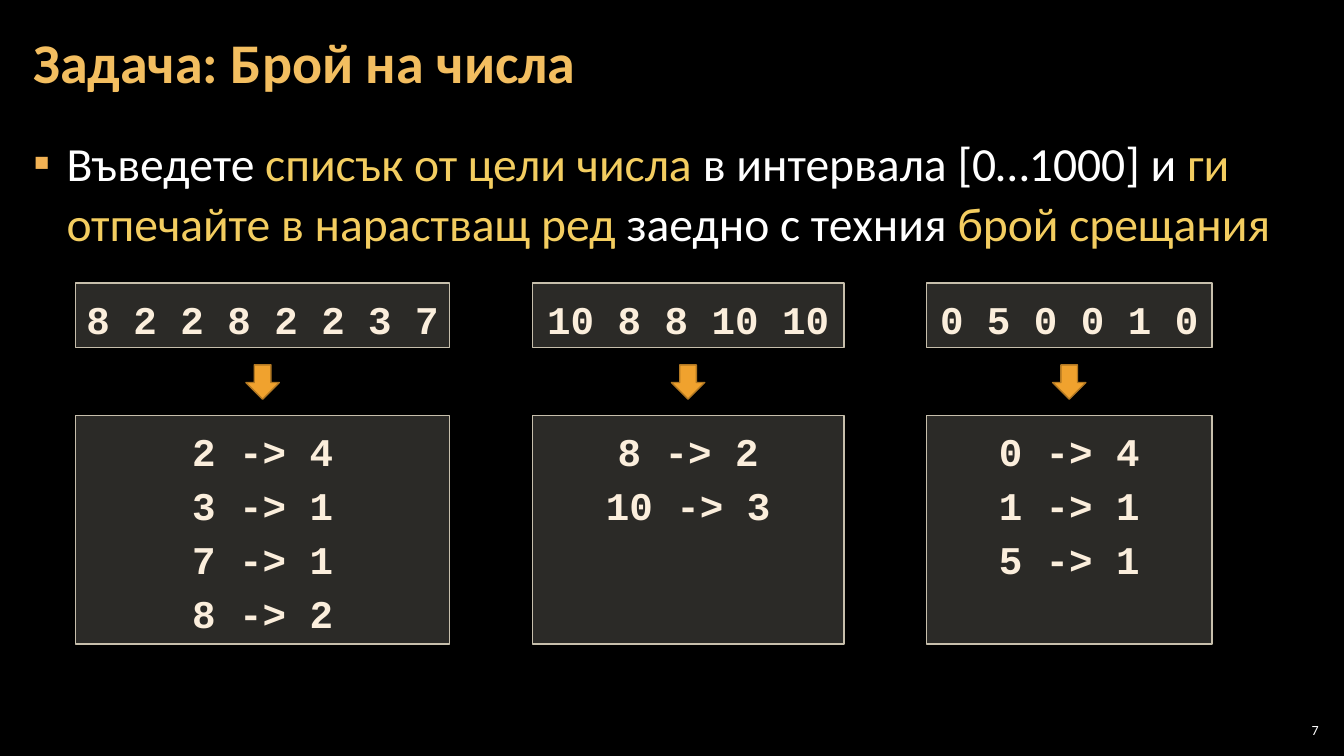
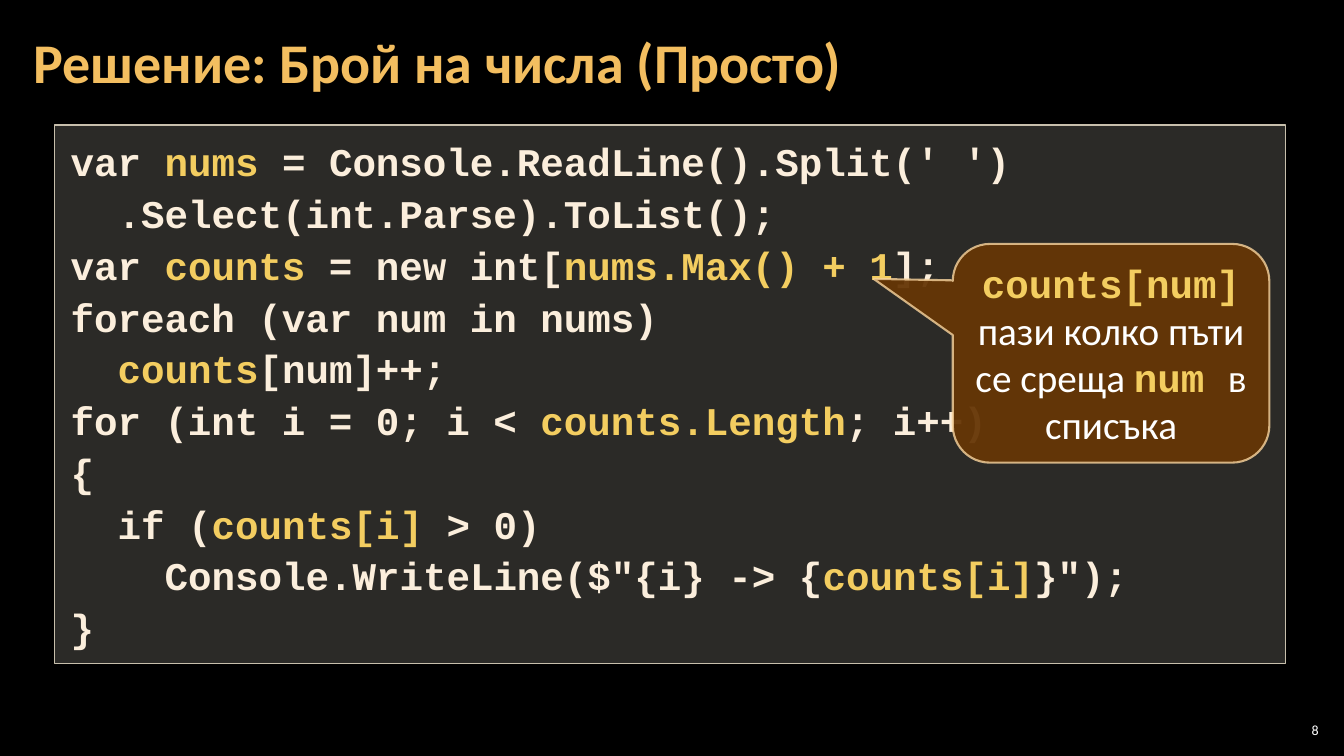
from lxml.etree import SubElement
from pptx import Presentation
from pptx.dml.color import RGBColor
from pptx.enum.shapes import MSO_SHAPE
from pptx.enum.text import MSO_ANCHOR, PP_ALIGN
from pptx.oxml.ns import qn
from pptx.util import Inches, Pt

BLACK = RGBColor(0x00, 0x00, 0x00)
WHITE = RGBColor(0xFF, 0xFF, 0xFF)
TITLE_GOLD = RGBColor(0xF3, 0xBE, 0x60)
HIGHLIGHT = RGBColor(0xF3, 0xCD, 0x60)
BULLET_ORANGE = RGBColor(0xF2, 0xB2, 0x54)
CODE_CREAM = RGBColor(0xFB, 0xEE, 0xDC)
PANEL_FILL = RGBColor(0xD9, 0xD5, 0xC7)
PANEL_LINE = RGBColor(0xC7, 0xBF, 0xAC)
ARROW_FILL = RGBColor(0xF0, 0xA2, 0x2E)
ARROW_LINE = RGBColor(0xB2, 0x78, 0x22)
CALLOUT_FILL = RGBColor(0x66, 0x36, 0x06)
CALLOUT_LINE = RGBColor(0xF8, 0xD4, 0x9E)

SANS = "Calibri"
MONO = "Courier New"
CODE_SIZE = 28
MARK = "|"
CODE_INDENT = 2 * 0.6 * CODE_SIZE / 72

SLIDE_WIDTH, SLIDE_HEIGHT = 13.33, 7.5
FIRST_NUMBER = 7
TITLES = ["Задача: Брой на числа", "Решение: Брой на числа (Просто)"]

TASK = (
    "Въведете |списък от цели числа |в интервала [0…1000] и "
    "|ги отпечайте в нарастващ ред |заедно с техния |брой срещания"
)
EXAMPLES = [
    (3.71, "8 2 2 8 2 2 3 7", ["2 -> 4", "3 -> 1", "7 -> 1", "8 -> 2"]),
    (3.09, "10 8 8 10 10", ["8 -> 2", "10 -> 3"]),
    (2.83, "0 5 0 0 1 0", ["0 -> 4", "1 -> 1", "5 -> 1"]),
]
EXAMPLES_LEFT, EXAMPLES_GAP = 0.75, 0.82
INPUT_TOP, INPUT_HEIGHT = 2.81, 0.64
ARROW_TOP, ARROW_WIDTH, ARROW_HEIGHT = 3.62, 0.33, 0.34
OUTPUT_TOP, OUTPUT_HEIGHT = 4.12, 2.27

CODE = [
    (0, "var |nums| = Console.ReadLine().Split(' ')"),
    (1, ".Select(int.Parse).ToList();"),
    (0, "var |counts| = new int[|nums.Max() + 1|];"),
    (0, "foreach (var num in nums)"),
    (1, "|counts|[num]++;"),
    (0, "for (int i = 0; i < |counts.Length|; i++)"),
    (0, "{"),
    (1, "if (|counts[i]| > 0)"),
    (2, "Console.WriteLine($\"{i} -> {|counts[i]|}\");"),
    (0, "}"),
]
CALLOUT = "|counts[num] |пази колко пъти се среща |num |в списъка"


def write(shape, lines, size=CODE_SIZE, font=MONO, color=CODE_CREAM, bold=True,
          mark_font=None, mark_bold=None, align=PP_ALIGN.LEFT, anchor=MSO_ANCHOR.TOP,
          spacing=1.0, gap=0, insets=(0.1, 0.05), wrap=True, bullet=None):
    frame = shape.text_frame
    frame.word_wrap = wrap
    frame.vertical_anchor = anchor
    frame.margin_left = frame.margin_right = Inches(insets[0])
    frame.margin_top = frame.margin_bottom = Inches(insets[1])
    for index, (depth, line) in enumerate(lines):
        paragraph = frame.add_paragraph() if index else frame.paragraphs[0]
        paragraph.alignment = align
        paragraph.line_spacing = spacing
        paragraph.space_before = paragraph.space_after = Pt(gap)
        if depth:
            paragraph._p.get_or_add_pPr().set("marL", str(Inches(depth * CODE_INDENT)))
        if bullet:
            add_bullet(paragraph, bullet)
        for position, part in enumerate(line.split(MARK)):
            if not part:
                continue
            marked = position % 2 == 1
            run = paragraph.add_run()
            run.text = part
            run.font.size = Pt(size)
            run.font.name = mark_font if marked and mark_font else font
            run.font.bold = mark_bold if marked and mark_bold is not None else bold
            run.font.color.rgb = HIGHLIGHT if marked else color


def add_bullet(paragraph, character, indent=0.33):
    properties = paragraph._p.get_or_add_pPr()
    properties.set("marL", str(Inches(indent)))
    properties.set("indent", str(-Inches(indent)))
    color = SubElement(properties, qn("a:buClr"))
    SubElement(color, qn("a:srgbClr"), val=str(BULLET_ORANGE))
    SubElement(properties, qn("a:buFont"), typeface=SANS)
    SubElement(properties, qn("a:buChar"), char=character)


def set_alpha(fill_format, percent):
    color = fill_format._xPr.find(qn("a:solidFill"))[0]
    SubElement(color, qn("a:alpha"), val=str(percent * 1000))


def add_text(slide, box, text, **text_format):
    shape = slide.shapes.add_textbox(*map(Inches, box))
    write(shape, [(0, text)], **text_format)


def add_figure(slide, kind, box, fill, line, alpha=100, width=1, line_alpha=100):
    shape = slide.shapes.add_shape(kind, *map(Inches, box))
    shape.shadow.inherit = False
    shape.fill.solid()
    shape.fill.fore_color.rgb = fill
    shape.line.color.rgb = line
    shape.line.width = Pt(width)
    if alpha < 100:
        set_alpha(shape.fill, alpha)
    if line_alpha < 100:
        set_alpha(shape.line.fill, line_alpha)
    return shape


def add_panel(slide, box, lines, **text_format):
    panel = add_figure(slide, MSO_SHAPE.RECTANGLE, box, PANEL_FILL, PANEL_LINE, alpha=20)
    write(panel, lines, **text_format)


def add_base_slide(presentation, number, title):
    slide = presentation.slides.add_slide(presentation.slide_layouts[6])
    slide.background.fill.solid()
    slide.background.fill.fore_color.rgb = BLACK
    add_text(slide, (12.65, 7.14, 0.47, 0.21), str(number), size=10, font=SANS, color=WHITE,
             bold=False, align=PP_ALIGN.RIGHT, anchor=MSO_ANCHOR.MIDDLE, insets=(0.04, 0.04))
    add_text(slide, (0.21, 0.04, 10.47, 1.21), title, size=40, font=SANS, color=TITLE_GOLD,
             anchor=MSO_ANCHOR.MIDDLE, spacing=0.9, insets=(0.12, 0.04))
    return slide


def fill_task(slide):
    add_text(slide, (0.21, 1.26, 12.91, 1.5), TASK, size=34, font=SANS, color=WHITE, bold=False,
             spacing=1.05, gap=6, insets=(0.12, 0.04), bullet="▪")
    left = EXAMPLES_LEFT
    for width, numbers, counts in EXAMPLES:
        add_panel(slide, (left, INPUT_TOP, width, INPUT_HEIGHT), [(0, numbers)],
                  align=PP_ALIGN.CENTER, spacing=1.15, wrap=False)
        add_panel(slide, (left, OUTPUT_TOP, width, OUTPUT_HEIGHT),
                  [(0, count) for count in counts], align=PP_ALIGN.CENTER, spacing=1.15)
        arrow_left = left + (width - ARROW_WIDTH) / 2
        add_figure(slide, MSO_SHAPE.DOWN_ARROW,
                   (arrow_left, ARROW_TOP, ARROW_WIDTH, ARROW_HEIGHT), ARROW_FILL, ARROW_LINE)
        left += width + EXAMPLES_GAP


def fill_solution(slide):
    add_panel(slide, (0.54, 1.24, 12.21, 5.34), CODE, spacing=1.1, insets=(0.16, 0.08))
    callout = add_figure(slide, MSO_SHAPE.ROUNDED_RECTANGULAR_CALLOUT, (9.45, 2.42, 3.14, 2.17),
                         CALLOUT_FILL, CALLOUT_LINE, alpha=95, width=1.5, line_alpha=80)
    for index, value in enumerate((-0.75, -0.34, 0.17)):
        callout.adjustments[index] = value
    write(callout, [(0, CALLOUT)], font=SANS, color=WHITE, bold=False, mark_font=MONO,
          mark_bold=True, align=PP_ALIGN.CENTER, anchor=MSO_ANCHOR.MIDDLE)


def main():
    presentation = Presentation()
    presentation.slide_width = Inches(SLIDE_WIDTH)
    presentation.slide_height = Inches(SLIDE_HEIGHT)
    fillers = (fill_task, fill_solution)
    for number, (title, fill) in enumerate(zip(TITLES, fillers), FIRST_NUMBER):
        fill(add_base_slide(presentation, number, title))
    presentation.save("out.pptx")


if __name__ == "__main__":
    main()
